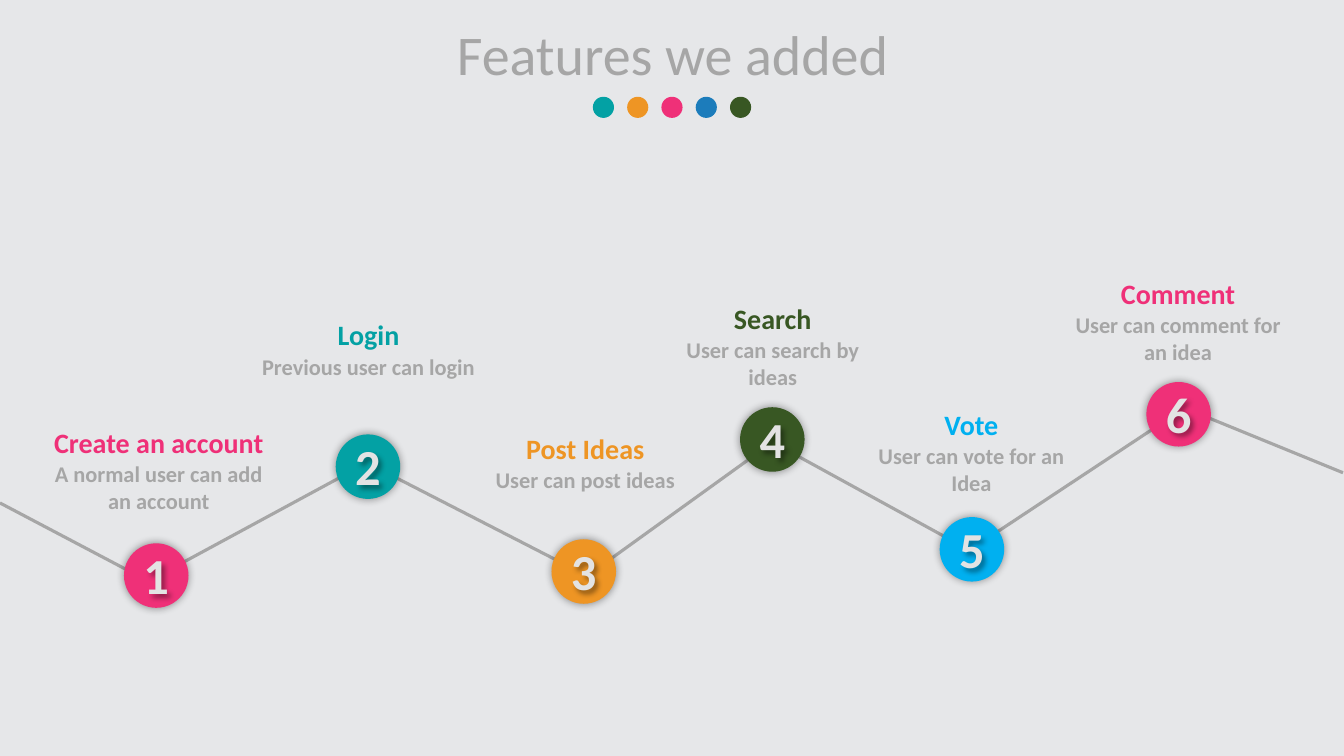
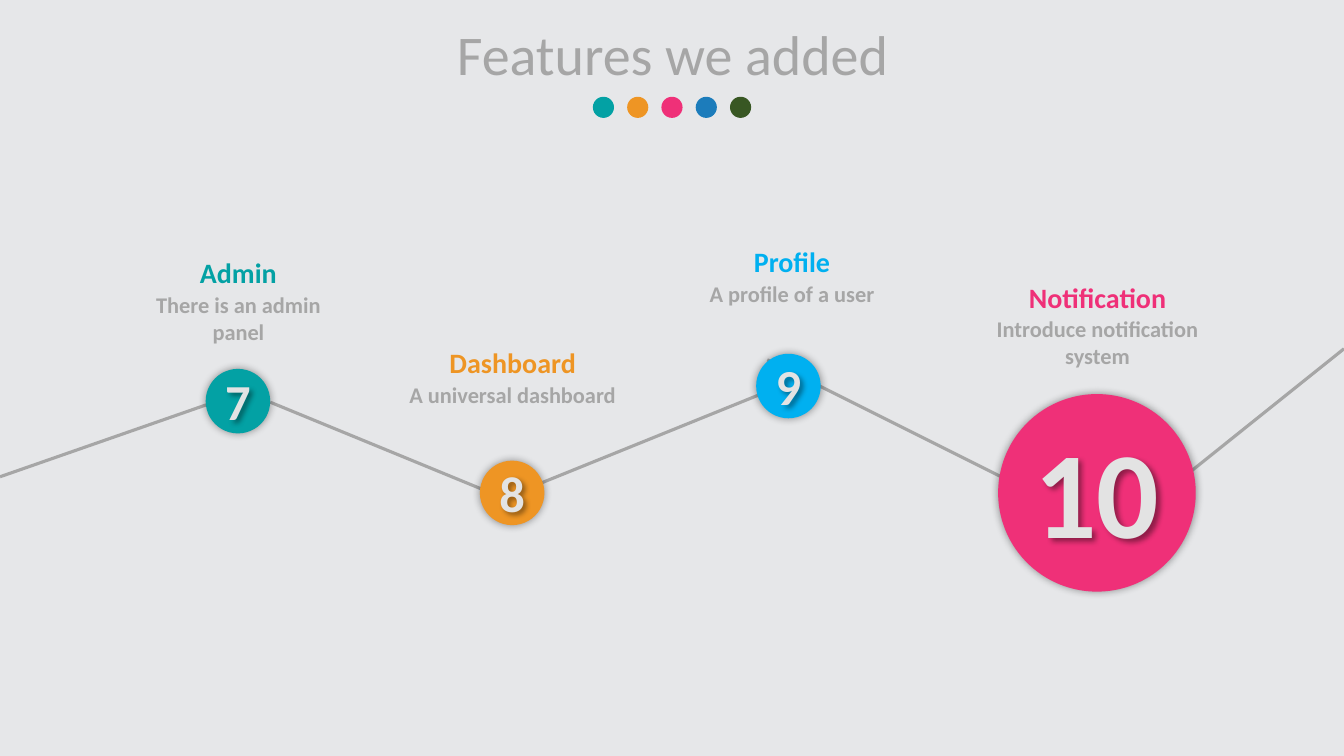
from lxml.etree import SubElement as Sub
from pptx import Presentation
from pptx.dml.color import RGBColor
from pptx.enum.shapes import MSO_CONNECTOR as Link, MSO_SHAPE as Kind
from pptx.enum.text import MSO_ANCHOR as Anchor, MSO_AUTO_SIZE as Fit, PP_ALIGN as Align
from pptx.oxml.ns import qn
from pptx.util import Pt

SCALE = 9144
TEAL, AMBER, PINK, BLUE, GREEN, SKY = "03A1A4", "EE9524", "EF3078", "1C7CBB", "385723", "00B0F0"
PAPER, GREY, PALE = "E6E7E9", "A6A6A6", "E3E3E3"
DOTS = (TEAL, AMBER, PINK, BLUE, GREEN)
FRAME = {"word_wrap": True, "auto_size": Fit.NONE, "vertical_anchor": Anchor.TOP}
MID = {"vertical_anchor": Anchor.MIDDLE, "margin_left": 0, "margin_right": 0,
       "margin_top": 0, "margin_bottom": 0}
SMALL, LARGE = (64, 36), (196, 88)

SLIDES = [
    {"title": "Features we added",
     "lines": [(1332, 469, 1190, 411), (148, 577, 0, 499), (587, 568, 759, 444),
               (960, 545, 763, 437), (978, 535, 1161, 414), (576, 568, 389, 472),
               (163, 568, 357, 463)],
     "steps": [
         ("1", PINK, (123, 539), SMALL, (41, 417), "Create an account",
          "A normal user can add an account"),
         ("2", TEAL, (333, 431), SMALL, (249, 310), "Login", "Previous user can login"),
         ("3", AMBER, (547, 535), SMALL, (464, 423), "Post Ideas", "User can post ideas"),
         ("4", GREEN, (734, 404), SMALL, (650, 294), "Search", "User can search by ideas"),
         ("5", SKY, (932, 513), SMALL, (847, 399), "Vote", "User can vote for an Idea"),
         ("6", PINK, (1137, 379), SMALL, (1052, 269), "Comment",
          "User can comment for an idea")]},
    {"title": "Features we added",
     "lines": [(215, 398, 0, 473), (487, 489, 268, 399), (510, 490, 772, 384),
               (1025, 489, 761, 357), (1333, 346, 1162, 483)],
     "steps": [
         ("7", TEAL, (204, 366), SMALL, (120, 249), "Admin", "There is an admin panel"),
         ("8", AMBER, (476, 457), SMALL, (392, 338), "Dashboard", "A universal dashboard"),
         ("9", SKY, (750, 351), SMALL, (669, 238), "Profile", "A profile of a user"),
         ("10", PINK, (990, 391), LARGE, (972, 273), "Notification",
          "Introduce notification system")]},
]


def px(*nums):
    """Turn px lengths into EMU."""
    return [num * SCALE for num in nums]


def tint(code):
    """Turn a hex string into a colour."""
    return RGBColor.from_string(code)


def apply(obj, form):
    """Set attributes from a dict of format values."""
    for key, val in form.items():
        setattr(obj, key, val)


def write(shape, text, size, hue, bold=False, frame=None):
    """Fill a shape with one centred paragraph."""
    body = shape.text_frame
    apply(body, {**FRAME, **(frame or {})})
    para = body.paragraphs[0]
    para.alignment = Align.CENTER
    run = para.add_run()
    run.text = text
    apply(run.font, {"name": "Calibri", "size": Pt(size), "bold": bold})
    run.font.color.rgb = tint(hue)


def shade(shape, blur, dist=0, turn=0):
    """Give a shape a soft black shadow."""
    shape.shadow.inherit = False
    fx = shape._element.spPr.find(qn("a:effectLst"))
    form = {"blurRad": Pt(blur), "dist": Pt(dist), "dir": turn * 60000,
            "algn": "ctr", "rotWithShape": 0}
    cast = Sub(fx, qn("a:outerShdw"), {key: str(val) for key, val in form.items()})
    ink = Sub(cast, qn("a:srgbClr"), val="000000")
    Sub(ink, qn("a:alpha"), val="40000")


def disc(shapes, left, top, size, hue):
    """Draw a plain filled circle."""
    shape = shapes.add_shape(Kind.OVAL, *px(left, top, size, size))
    shape.shadow.inherit = False
    shape.fill.solid()
    shape.fill.fore_color.rgb = tint(hue)
    shape.line.fill.background()
    return shape


def head(slide, text, left, top, wide):
    """Place the title and the row of dots centred below it."""
    title = slide.shapes.title
    apply(title, dict(zip(("left", "top", "width", "height"), px(left, top, wide, 77))))
    write(title, text, 40, GREY)
    group = slide.shapes.add_group_shape()
    size, step = 21, 34
    start = left + (wide - size - step * (len(DOTS) - 1)) // 2
    for num, hue in enumerate(DOTS):
        disc(group.shapes, start + num * step, top + 82, size, hue)


def trail(slide, lines):
    """Draw the grey path between the steps."""
    for ends in lines:
        line = slide.shapes.add_connector(Link.STRAIGHT, *px(*ends))
        line.line.color.rgb = tint(GREY)
        line.line.width = Pt(2.25)
        Sub(line._element.spPr, qn("a:effectLst"))


def badge(slide, mark, hue, left, top, size, points):
    """Draw a shaded circle with its number."""
    shade(disc(slide.shapes, left, top, size, hue), 6)
    box = slide.shapes.add_textbox(*px(left, top - size // 40, size, size))
    write(box, mark, points, PALE, True, MID)
    shade(box, 4, 3, 45)


def label(slide, name, note, hue, left, top):
    """Place a step name with its note below."""
    group = slide.shapes.add_group_shape()
    rows = ((name, 20, hue, 0, 44), (note, 16, GREY, 35, 64))
    for text, size, ink, down, high in rows:
        box = group.shapes.add_textbox(*px(left, top + down, 233, high))
        write(box, text, size, ink, True)


def build(deck, data):
    """Add one slide of numbered steps."""
    slide = deck.slides.add_slide(deck.slide_layouts[5])
    trail(slide, data["lines"])
    head(slide, data["title"], 269, 14, 796)
    for mark, hue, spot, form, place, name, note in data["steps"]:
        badge(slide, mark, hue, *spot, *form)
        label(slide, name, note, hue, *place)


def main():
    """Build and save the deck."""
    deck = Presentation()
    deck.slide_width, deck.slide_height = px(1333, 750)
    fill = deck.slide_master.background.fill
    fill.solid()
    fill.fore_color.rgb = tint(PAPER)
    for data in SLIDES:
        build(deck, data)
    deck.save("out.pptx")


if __name__ == "__main__":
    main()
